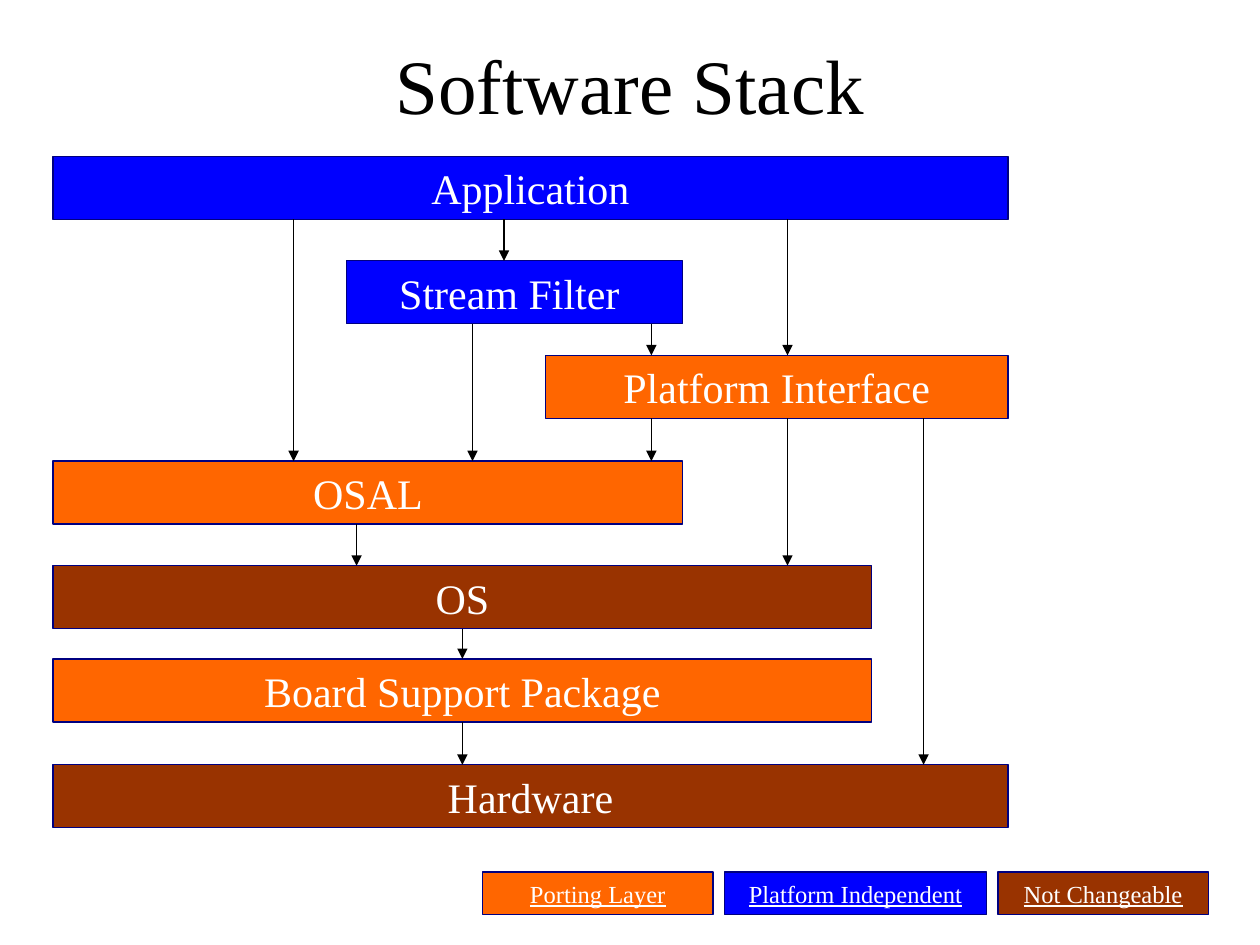
"""Build the Software Stack slide: layered boxes, call arrows and a colour legend."""
from lxml import etree
from pptx import Presentation
from pptx.dml.color import RGBColor
from pptx.enum import shapes, text
from pptx.oxml import ns
from pptx.util import Inches, Pt

THEME = {
    "font": "Times New Roman",
    "port": "FF6600", "free": "0000FF", "fixed": "993300",
    "edge": "000080", "ink": "000000", "pale": "FFFFFF",
    "title": 44, "body": 24, "note": 14, "rule": 0.75,
}
TITLE = "Software Stack"
LEFT, HIGH = 0.42, 0.5
LAYERS = {
    "Application": (LEFT, 1.24, 7.58, "free"),
    "Stream Filter ": (2.75, 2.07, 2.67, "free"),
    "Platform Interface": (4.33, 2.82, 3.67, "port"),
    "OSAL": (LEFT, 3.66, 5, "port"),
    "OS": (LEFT, 4.49, 6.5, "fixed"),
    "Board Support Package": (LEFT, 5.23, 6.5, "port"),
    "Hardware": (LEFT, 6.07, 7.58, "fixed"),
}
CALLS = [
    ("Application", "Stream Filter ", 4),
    ("Application", "OSAL", 2.33),
    ("Application", "Platform Interface", 6.25),
    ("Stream Filter ", "Platform Interface", 5.17),
    ("Stream Filter ", "OSAL", 3.75),
    ("Platform Interface", "OSAL", 5.17),
    ("Platform Interface", "OS", 6.25),
    ("Platform Interface", "Hardware", 7.33),
    ("OSAL", "OS", 2.83),
    ("OS", "Board Support Package", 3.67),
    ("Board Support Package", "Hardware", 3.67),
]
LEGEND = [
    ("Porting Layer", 1.83, "port"),
    ("Platform Independent", 2.08, "free"),
    ("Not Changeable", 1.67, "fixed"),
]
KEY_LEFT, KEY_TOP, KEY_HIGH, KEY_GAP = 3.83, 6.92, 0.34, 0.09


def tint(name):
    return RGBColor.from_string(THEME[name])


def write(shape, words, size, ink, under=None):
    frame = shape.text_frame
    frame.text = words
    frame.word_wrap = True
    frame.vertical_anchor = text.MSO_ANCHOR.MIDDLE
    line = frame.paragraphs[0]
    line.alignment = text.PP_ALIGN.CENTER
    font = line.runs[0].font
    font.name, font.size = THEME["font"], Pt(THEME[size])
    font.color.rgb, font.underline = tint(ink), under


def add_box(slide, words, place, fill, size, under=None):
    box = slide.shapes.add_shape(shapes.MSO_SHAPE.RECTANGLE, *map(Inches, place))
    box.shadow.inherit = False
    box.fill.solid()
    box.fill.fore_color.rgb = tint(fill)
    box.line.color.rgb, box.line.width = tint("edge"), Pt(THEME["rule"])
    write(box, words, size, "pale", under)


def add_arrow(slide, x, top, end):
    arrow = slide.shapes.add_connector(
        shapes.MSO_CONNECTOR.STRAIGHT, *map(Inches, (x, top, x, end)))
    arrow.line.color.rgb, arrow.line.width = tint("ink"), Pt(THEME["rule"])
    head = etree.SubElement(arrow.line._get_or_add_ln(), ns.qn("a:tailEnd"))
    head.set("type", "triangle")
    etree.SubElement(arrow._element.spPr, ns.qn("a:effectLst"))


def main():
    deck = Presentation()
    deck.slide_width, deck.slide_height = Inches(10), Inches(7.5)
    slide = deck.slides.add_slide(deck.slide_layouts[6])
    title = slide.shapes.add_textbox(*map(Inches, (0.75, 0.33, 8.5, 0.67)))
    write(title, TITLE, "title", "ink")
    for name, (x, y, wide, fill) in LAYERS.items():
        add_box(slide, name, (x, y, wide, HIGH), fill, "body")
    for start, end, x in CALLS:
        add_arrow(slide, x, LAYERS[start][1] + HIGH, LAYERS[end][1])
    x = KEY_LEFT
    for name, wide, fill in LEGEND:
        add_box(slide, name, (x, KEY_TOP, wide, KEY_HIGH), fill, "note", True)
        x += wide + KEY_GAP
    deck.save("out.pptx")


if __name__ == "__main__":
    main()
